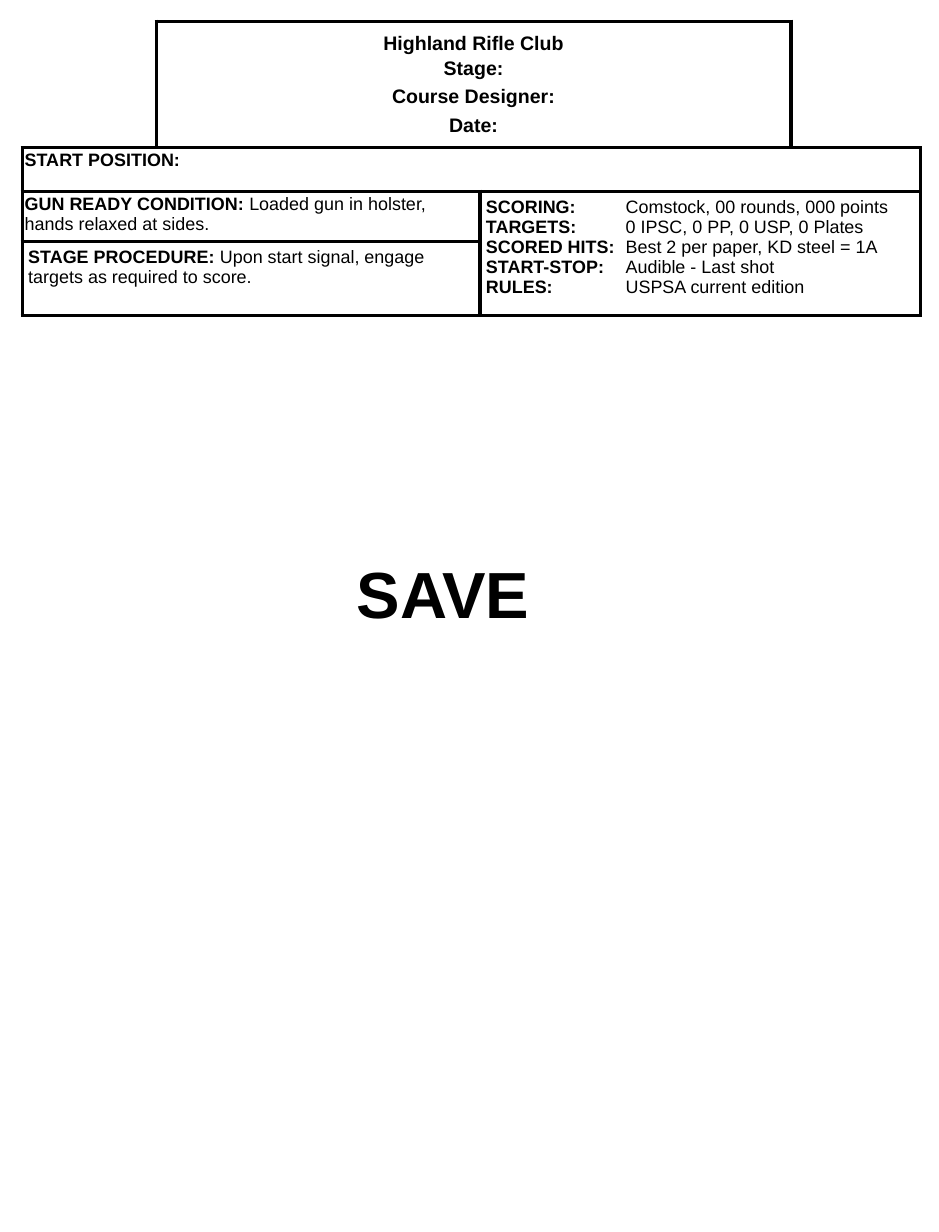
from lxml.etree import SubElement
from pptx import Presentation
from pptx.dml.color import RGBColor
from pptx.enum.text import MSO_ANCHOR as Anchor, MSO_AUTO_SIZE as Fit, PP_ALIGN as Align
from pptx.oxml.ns import qn
from pptx.util import Emu, Pt

SCALE = 9144
BLACK, WHITE = "000000", "FFFFFF"
COLS = [114, 276, 265, 110]
ROWS = [108, 37, 43, 63]
HEAD = [("Highland Rifle Club", ""), ("Stage:", ""), ("Course Designer:", ""), ("Date:", "")]
START = [("START POSITION:", "")]
READY = [("GUN READY CONDITION: ", "Loaded gun in holster, hands relaxed at sides.")]
STEPS = [("STAGE PROCEDURE: ", "Upon start signal, engage targets as required to score.")]
SCORE = [
    ("SCORING:", "\tComstock, 00 rounds, 000 points"),
    ("TARGETS:", "\t0 IPSC, 0 PP, 0 USP, 0 Plates"),
    ("SCORED HITS:", "\tBest 2 per paper, KD steel = 1A"),
    ("START-STOP:", "\tAudible - Last shot"),
    ("RULES:", "\tUSPSA current edition"),
]


def px(size):
    """Turn px into EMU."""
    return Emu(size * SCALE)


def paint(fill, color):
    """Fill with a solid hex colour."""
    fill.solid()
    fill.fore_color.rgb = RGBColor.from_string(color)


def write(frame, lines, size=11, align=Align.LEFT, gaps=(), lead=1.0, tab=None):
    """Write lines, each a bold label followed by plain text."""
    for i, parts in enumerate(lines):
        para = frame.paragraphs[0] if i == 0 else frame.add_paragraph()
        if tab:
            stops = SubElement(para._p.get_or_add_pPr(), qn("a:tabLst"))
            SubElement(stops, qn("a:tab"), pos=str(px(tab)), algn="l")
        para.alignment, para.line_spacing = align, lead
        para.space_before = Pt(gaps[i] if gaps else 0)
        for text, bold in zip(parts, (True, False)):
            if text:
                run = para.add_run()
                run.text = text
                font = run.font
                font.name, font.size, font.bold = "Arial", Pt(size), bold
                paint(font.fill, BLACK)


def frame_cell(cell, sides):
    """Rule the given sides of a cell and fill it white."""
    props = cell._tc.get_or_add_tcPr()
    for side in "LRTB":
        line = SubElement(props, qn(f"a:ln{side}"), w=str(Pt(2.25)))
        if side in sides:
            solid = SubElement(line, qn("a:solidFill"))
            SubElement(solid, qn("a:srgbClr"), val=BLACK)
        else:
            SubElement(line, qn("a:noFill"))
    paint(cell.fill, WHITE)


def fill_cell(grid, start, end, lines, pad=(5, 5), anchor=Anchor.TOP, **form):
    """Merge a block of cells and write its text."""
    cell = grid.cell(*start)
    cell.merge(grid.cell(*end))
    cell.margin_left = cell.margin_right = px(pad[0])
    cell.margin_top = cell.margin_bottom = px(pad[1])
    cell.vertical_anchor = anchor
    write(cell.text_frame, lines, **form)


def add_form(slide):
    """Add the stage form as a table."""
    shape = slide.shapes.add_table(len(ROWS), len(COLS), px(19), px(18), px(sum(COLS)), px(sum(ROWS)))
    grid = shape.table
    grid.first_row = grid.horz_banding = False
    for col, width in zip(grid.columns, COLS):
        col.width = px(width)
    for row, height in zip(grid.rows, ROWS):
        row.height = px(height)
    corners = {(0, 0): "RB", (0, 3): "LB"}
    for r in range(len(ROWS)):
        for c in range(len(COLS)):
            frame_cell(grid.cell(r, c), corners.get((r, c), "LRTB"))
    fill_cell(grid, (0, 1), (0, 2), HEAD, anchor=Anchor.MIDDLE,
              size=12, align=Align.CENTER, gaps=(0, 2, 4, 4))
    fill_cell(grid, (1, 0), (1, 3), START, pad=(2, 4), lead=0.9)
    fill_cell(grid, (2, 0), (2, 1), READY, pad=(2, 3))
    fill_cell(grid, (2, 2), (3, 3), SCORE, tab=119)
    fill_cell(grid, (3, 0), (3, 1), STEPS)


def add_label(slide, text, left, top, width, height, **form):
    """Add a text box that does not wrap."""
    frame = slide.shapes.add_textbox(px(left), px(top), px(width), px(height)).text_frame
    frame.word_wrap = False
    frame.auto_size = Fit.SHAPE_TO_FIT_TEXT
    write(frame, [(text, "")], **form)


def main():
    """Build and save the slide."""
    deck = Presentation()
    deck.slide_width, deck.slide_height = px(800), px(1050)
    slide = deck.slides.add_slide(deck.slide_layouts[6])
    add_form(slide)
    add_label(slide, "SAVE", 293, 467, 169, 77, size=40, align=Align.CENTER)
    deck.save("out.pptx")


if __name__ == "__main__":
    main()
